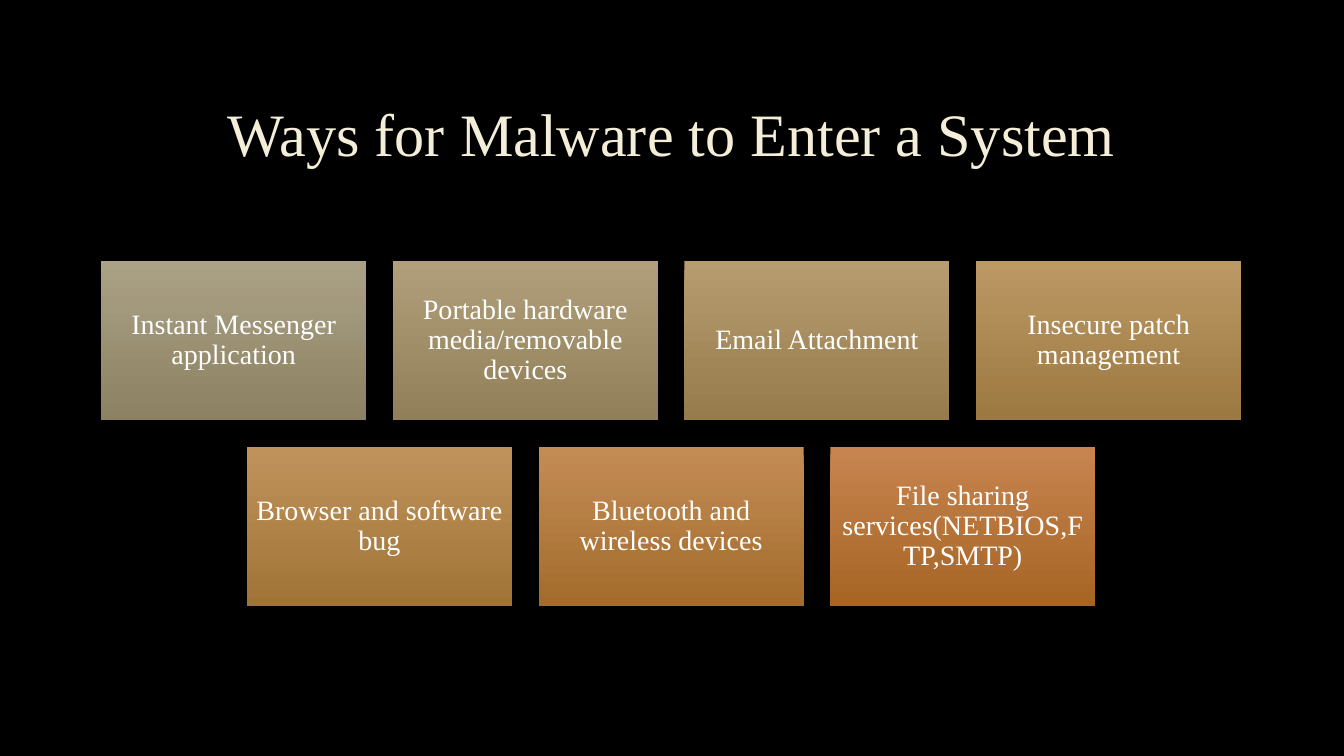
from dataclasses import dataclass

from pptx import Presentation, util as u
from pptx.dml.color import RGBColor
from pptx.enum import shapes, text


@dataclass(frozen=True)
class Theme:
    font: str = "Times New Roman"
    background: str = "000000"
    title_color: str = "F4EDD8"
    card_text: str = "FFFFFF"
    title_size: int = 43
    card_size: int = 20
    line_spacing: float = 0.9


# Lengths in centimetres
SLIDE_WIDTH, SLIDE_HEIGHT = 33.87, 19.05
CONTENT_LEFT, CONTENT_WIDTH = 2.54, 28.75
TITLE_TOP, TITLE_HEIGHT = 1.7, 3.51
CARD_WIDTH, CARD_HEIGHT, CARD_GAP = 6.68, 4.01, 0.67
CARDS_TOP, CARD_INSET = 6.58, 0.2

# Each entry way with the top and bottom colour of its card
ENTRY_ROWS = [
    [
        ("Instant Messenger application", "ABA185", "8C8162"),
        ("Portable hardware media/removable devices", "B09F7A", "907F58"),
        ("Email Attachment", "B69C6F", "967C4C"),
        ("Insecure patch management", "BC9864", "9C7940"),
    ],
    [
        ("Browser and software bug", "C0935C", "A07336"),
        ("Bluetooth and wireless devices", "C48C55", "A36C2C"),
        ("File sharing services(NETBIOS,FTP,SMTP)", "C78450", "A66523"),
    ],
]


class SlideBuilder:
    def __init__(self, deck, theme):
        self.theme = theme
        self.slide = deck.slides.add_slide(deck.slide_layouts[5])
        backdrop = self.slide.background.fill
        backdrop.solid()
        backdrop.fore_color.rgb = RGBColor.from_string(theme.background)

    def set_wording(self, frame, wording, size, color, **frame_format):
        frame_format = {
            "word_wrap": True,
            "auto_size": text.MSO_AUTO_SIZE.NONE,
            "vertical_anchor": text.MSO_ANCHOR.MIDDLE,
            **frame_format,
        }
        for name, value in frame_format.items():
            setattr(frame, name, value)
        paragraph = frame.paragraphs[0]
        paragraph.alignment = text.PP_ALIGN.CENTER
        paragraph.line_spacing = self.theme.line_spacing
        run = paragraph.add_run()
        run.text = wording
        run.font.name = self.theme.font
        run.font.size = u.Pt(size)
        run.font.color.rgb = RGBColor.from_string(color)

    def title(self, wording):
        heading = self.slide.shapes.title
        place = {"left": CONTENT_LEFT, "top": TITLE_TOP,
                 "width": CONTENT_WIDTH, "height": TITLE_HEIGHT}
        for name, length in place.items():
            setattr(heading, name, u.Cm(length))
        self.set_wording(heading.text_frame, wording,
                         self.theme.title_size, self.theme.title_color)

    def card(self, left, top, wording, *shades):
        card = self.slide.shapes.add_shape(
            shapes.MSO_SHAPE.RECTANGLE, u.Cm(left), u.Cm(top),
            u.Cm(CARD_WIDTH), u.Cm(CARD_HEIGHT))
        card.shadow.inherit = False
        card.line.fill.background()
        card.fill.gradient()
        card.fill.gradient_angle = 270  # top to bottom
        for stop, shade in zip(card.fill.gradient_stops, shades):
            stop.color.rgb = RGBColor.from_string(shade)
        sides = ("left", "top", "right", "bottom")
        insets = {f"margin_{side}": u.Cm(CARD_INSET) for side in sides}
        self.set_wording(card.text_frame, wording,
                         self.theme.card_size, self.theme.card_text, **insets)

    def card_row(self, top, entries):
        pitch = CARD_WIDTH + CARD_GAP
        row_width = len(entries) * pitch - CARD_GAP
        row_left = CONTENT_LEFT + (CONTENT_WIDTH - row_width) / 2
        for column, entry in enumerate(entries):
            self.card(row_left + column * pitch, top, *entry)


def main():
    deck = Presentation()
    deck.slide_width = u.Cm(SLIDE_WIDTH)
    deck.slide_height = u.Cm(SLIDE_HEIGHT)

    # Heading
    builder = SlideBuilder(deck, Theme())
    builder.title("Ways for Malware to Enter a System")

    # Centred rows of cards
    for row, entries in enumerate(ENTRY_ROWS):
        builder.card_row(CARDS_TOP + row * (CARD_HEIGHT + CARD_GAP), entries)

    deck.save("out.pptx")


if __name__ == "__main__":
    main()
